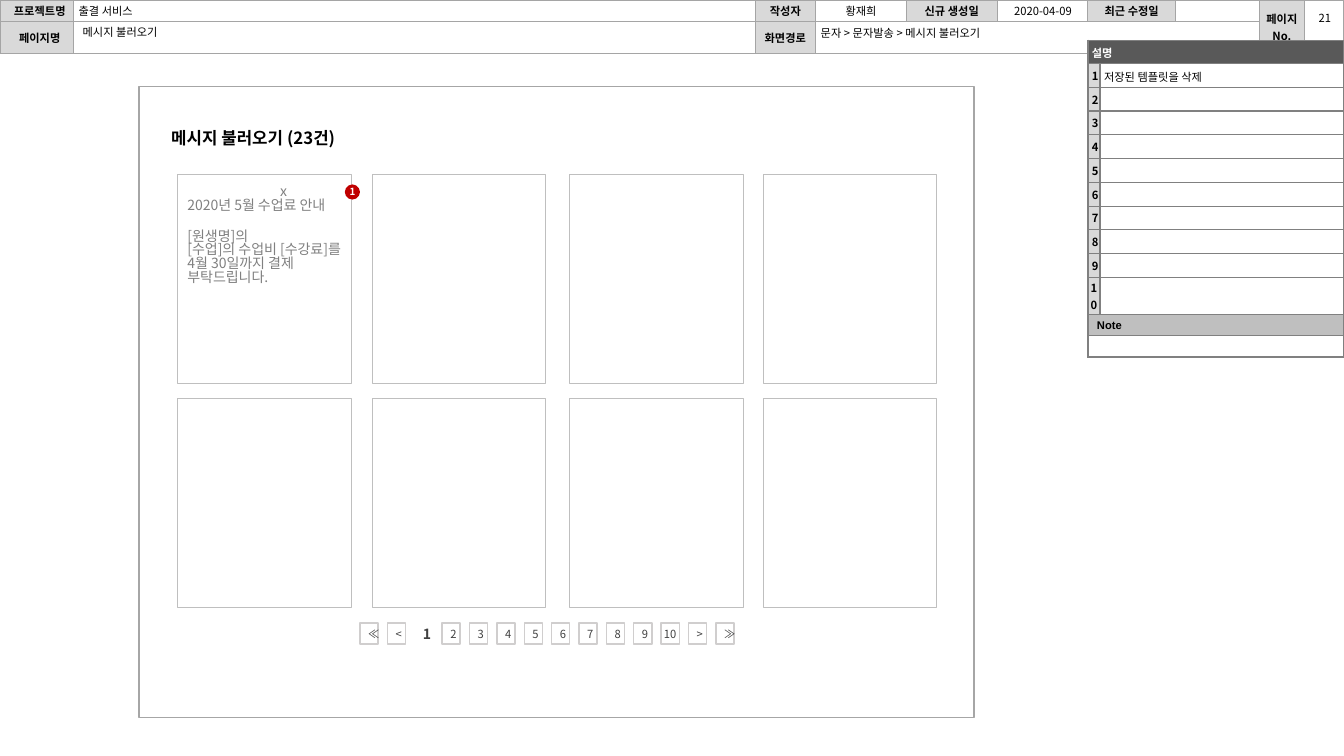
from pptx import Presentation, util as u
from pptx.dml.color import RGBColor
from pptx.enum import shapes, text
from pptx.oxml import ns
from lxml import etree

FONT = "Noto Sans CJK KR"
HEAD = [
    ["프로젝트명", "출결 서비스", "작성자", "황재희", "신규 생성일", "", "최근 수정일", "", "페이지 No.", ""],
    ["페이지명", "", "화면경로", "", "", "", "", "", "", ""],
]
HEAD_COLS = [0.73, 6.76, 0.6, 0.9, 0.9, 0.9, 0.87, 0.83, 0.45, 0.39]
HEAD_ROWS = [0.21, 0.32]
NOTES = [["설명", ""], ["1", "저장된 템플릿을 삭제"]]
NOTES += [[str(n), ""] for n in range(2, 11)] + [["Note", ""], ["", ""]]
NOTE_COLS = [0.12, 2.42]
NOTE_ROWS = [0.23] + [0.236] * 9 + [0.37, 0.21, 0.21]
LABELS = [
    ("메시지 불러오기", (0.78, 0.21, 6.64, 0.21), (0.04, 0.04, 0.04, 0.04), "l"),
    ("2020-04-09", (10, 0, 0.69, 0.19), (0, 0.04, 0, 0.04), "c"),
    ("21", (12.95, 0.01, 0.38, 0.29), (0, 0.12, 0, 0.04), "c"),
    ("문자 > 문자발송 > 메시지 불러오기", (8.1, 0.22, 4.32, 0.21), (0.04, 0.04, 0.04, 0.04), "l"),
]
TITLE = "메시지 불러오기 (23건)"
MESSAGE = ["x", "2020년 5월 수업료 안내", "[원생명]의",
           "[수업]의 수업비 [수강료]를 4월 30일까지 결제 부탁드립니다."]
CARD_X = [1.76, 3.69, 5.65, 7.57]
CARD_Y = [1.73, 3.95]
PAGES = ["≪", "<", *map(str, range(1, 11)), ">", "≫"]
ALIGN = {"l": text.PP_ALIGN.LEFT, "c": text.PP_ALIGN.CENTER}
ANCHOR = {"t": text.MSO_ANCHOR.TOP, "m": text.MSO_ANCHOR.MIDDLE}


def color(code):
    return RGBColor.from_string(code)


def write(box, lines, size=8, ink="000000", bold=False, align="l",
          anchor="m", pad=(0.1, 0.05, 0.1, 0.05), font=FONT):
    box.margin_left, box.margin_top, box.margin_right, box.margin_bottom = map(u.Inches, pad)
    box.vertical_anchor = ANCHOR[anchor]
    frame = getattr(box, "text_frame", box)
    for i, line in enumerate(lines):
        para = frame.add_paragraph() if i else frame.paragraphs[0]
        para.alignment = ALIGN[align]
        if not line:
            etree.SubElement(para._p, ns.qn("a:endParaRPr"), sz=str(size * 100))
            continue
        run = para.add_run()
        run.text = line
        run.font.size = u.Pt(size)
        run.font.bold = bold
        run.font.name = font
        run.font.color.rgb = color(ink)
        etree.SubElement(run._r.get_or_add_rPr(), ns.qn("a:ea"), typeface=font)
    return frame.paragraphs


def label(slide, line, spot, wrap=True, **form):
    box = slide.shapes.add_textbox(*map(u.Inches, spot)).text_frame
    box.word_wrap = wrap
    write(box, [line], anchor="t", **form)


def block(slide, spot, fill="FFFFFF", line=None, width=1, oval=False):
    kind = shapes.MSO_SHAPE.OVAL if oval else shapes.MSO_SHAPE.RECTANGLE
    shape = slide.shapes.add_shape(kind, *map(u.Inches, spot))
    shape.shadow.inherit = False
    shape.fill.solid()
    shape.fill.fore_color.rgb = color(fill)
    if line:
        shape.line.color.rgb = color(line)
        shape.line.width = u.Pt(width)
    else:
        shape.line.fill.background()
    return shape.text_frame


def edge(cell, code):
    props = cell._tc.get_or_add_tcPr()
    for i, side in enumerate(("lnL", "lnR", "lnT", "lnB")):
        line = etree.Element(ns.qn("a:" + side), w="12700")
        fill = etree.SubElement(line, ns.qn("a:solidFill"))
        etree.SubElement(fill, ns.qn("a:srgbClr"), val=code)
        props.insert(i, line)


def grid(slide, left, top, cols, rows, data, spans, line, form):
    size = map(u.Inches, (left, top, sum(cols), sum(rows)))
    table = slide.shapes.add_table(len(rows), len(cols), *size).table
    table.first_row = table.horz_banding = False
    for col, width in zip(table.columns, cols):
        col.width = u.Inches(width)
    for r, height in enumerate(rows):
        table.rows[r].height = u.Inches(height)
        for c, word in enumerate(data[r]):
            cell = table.cell(r, c)
            fill, look = form(r, c)
            cell.fill.solid()
            cell.fill.fore_color.rgb = color(fill)
            edge(cell, line)
            write(cell, [word], **look)
    for start, end in spans:
        table.cell(*start).merge(table.cell(*end))
    return table


def head_form(r, c):
    if c % 2:
        return "FFFFFF", dict(align="l" if c == 1 else "c", pad=(0.05 if c == 1 else 0, 0, 0, 0))
    return "D9D9D9", dict(bold=True, align="c", pad=(0.06 if c == 0 else 0, 0, 0, 0))


def note_form(r, c):
    if r == 0:
        return "595959", dict(ink="FFFFFF", bold=True, pad=(0.04, 0.04, 0.1, 0.02))
    if r == 11:
        return "BFBFBF", dict(bold=True, font="Arial", pad=(0.09, 0.02, 0.04, 0.02))
    if c or r == 12:
        return "FFFFFF", dict(pad=(0.04, 0.02, 0.04, 0.02))
    side = 0 if r == 10 else 0.04
    return "D9D9D9", dict(bold=True, align="c", pad=(side, 0.02, side, 0.02))


def main():
    deck = Presentation()
    deck.slide_width, deck.slide_height = u.Inches(13.33), u.Inches(7.5)
    slide = deck.slides.add_slide(deck.slide_layouts[6])

    grid(slide, 0, 0, HEAD_COLS, HEAD_ROWS, HEAD,
         [((1, 3), (1, 7)), ((0, 8), (1, 8)), ((0, 9), (1, 9))], "A5A5A5", head_form)
    block(slide, (1.38, 0.86, 8.28, 6.26), line="A6A6A6")
    for line, spot, pad, align in LABELS:
        label(slide, line, spot, pad=pad, align=align)

    notes = grid(slide, 10.79, 0.4, NOTE_COLS, NOTE_ROWS, NOTES,
                 [((r, 0), (r, 1)) for r in (0, 11, 12)], "808080", note_form)
    notes.cell(1, 1).text_frame.paragraphs[0].line_spacing = 1.2

    label(slide, TITLE, (1.6, 1.22, 1.98, 0.3), wrap=False, size=12, bold=True)
    cards = [block(slide, (x, y, 1.72, 2.07), line="BFBFBF", width=0.25)
             for y in CARD_Y for x in CARD_X]
    cards[0].word_wrap = True
    paras = write(cards[0], MESSAGE, size=10, ink="808080", anchor="t")
    for para in paras:
        para.line_spacing = 0.82
    paras[0].line_spacing = 1.2
    paras[0]._p.get_or_add_pPr().set("marL", str(u.Inches(0.92)))
    paras[2].space_before = u.Pt(12)

    for i, page in enumerate(PAGES):
        now = page == "1"
        box = block(slide, (3.57 + i * 3.53 / 13, 6.18, 0.18, 0.21), line=None if now else "D0CECE")
        side = 0 if page == "10" else 0.1
        write(box, [page], size=10 if now else 8, bold=now, ink="404040",
              align="c", pad=(side, 0.05, side, 0.05))

    badge = block(slide, (3.42, 1.83, 0.15, 0.15), fill="C00000", oval=True)
    badge.word_wrap = False
    write(badge, ["1"], size=7, ink="FFFFFF", bold=True, align="c", pad=(0, 0, 0, 0))
    deck.save("out.pptx")


if __name__ == "__main__":
    main()
